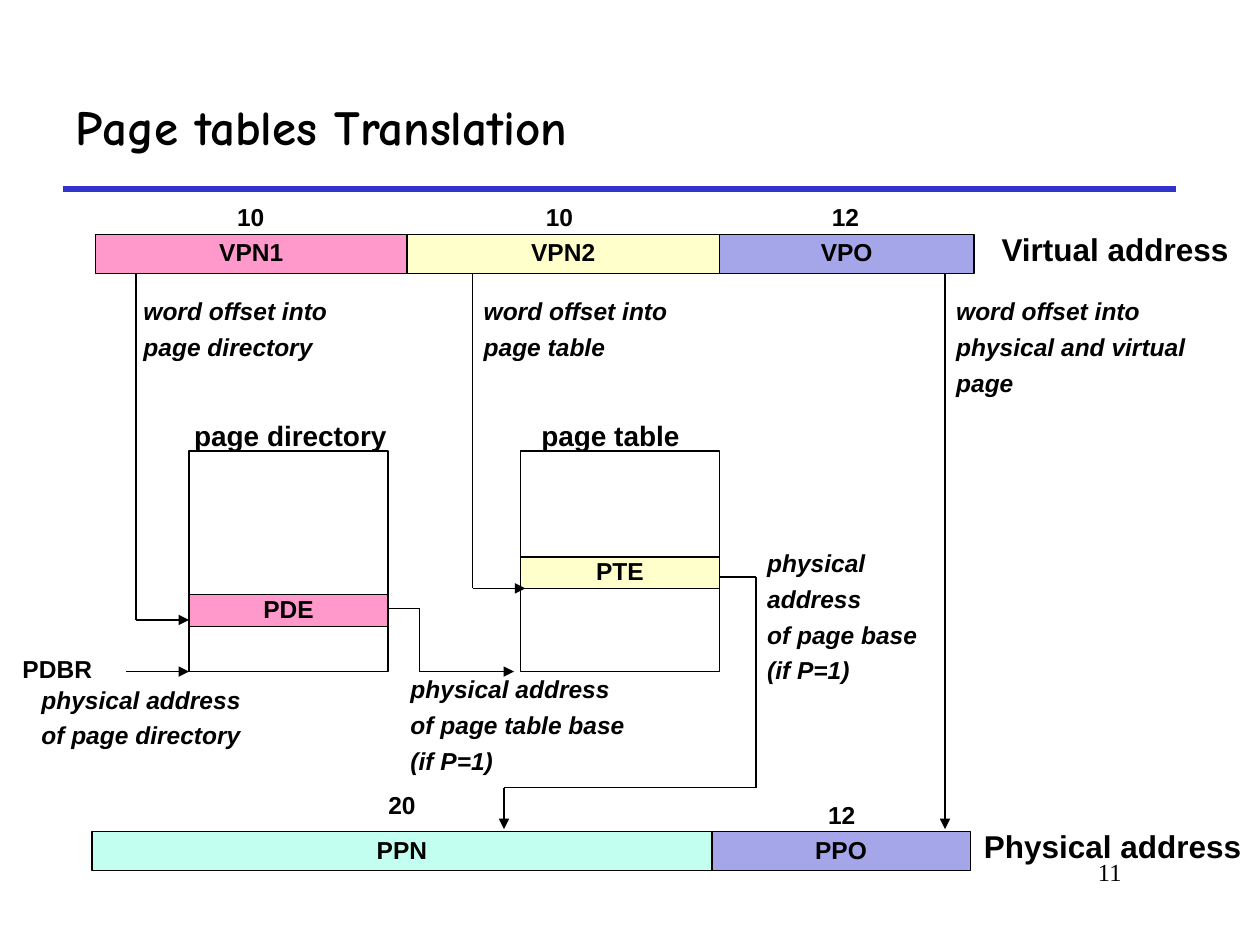
from pptx import Presentation
from pptx import util as u
from pptx.dml.color import RGBColor
from pptx.enum import shapes, text
from pptx.oxml.ns import qn
from lxml import etree

BLACK, WHITE, BLUE = "000000", "FFFFFF", "3333CC"
PINK, YELLOW, VIOLET, MINT = "FF99CC", "FFFFCC", "A5A5E9", "C2FFF0"

# Address bars: left, top, then (name, width, fill) of each field
BAR_HEIGHT = 0.31
BARS = [
    (0.76, 1.86, [("VPN1", 2.47, PINK), ("VPN2", 2.48, YELLOW), ("VPO", 2.02, VIOLET)]),
    (0.73, 6.6, [("PPN", 4.92, MINT), ("PPO", 2.05, VIOLET)]),
]

# Tables: left, entry name, entry top, entry fill
TABLE_TOP, TABLE_WIDTH, TABLE_HEIGHT, ENTRY_HEIGHT = 3.58, 1.58, 1.75, 0.25
TABLES = [(1.5, "PDE", 4.72, PINK), (4.13, "PTE", 4.42, YELLOW)]

# Text: left, top, width, lines
BIT_COUNTS = [
    (1.78, 1.58, "10"), (4.23, 1.58, "10"), (6.5, 1.58, "12"),
    (2.98, 6.25, "20"), (6.47, 6.33, "12"),
]
NOTES = [
    (1.04, 2.33, 1.71, ["word offset into", "page directory"]),
    (3.74, 2.33, 1.71, ["word offset into", "page table"]),
    (7.49, 2.33, 2.02, ["word offset into", "physical and virtual", "page"]),
    (0.23, 5.41, 1.78, ["physical address", "of page directory"]),
    (3.16, 5.33, 1.9, ["physical address", "of page table base", "(if P=1)"]),
    (5.99, 4.33, 1.39, ["physical", "address", "of page base", "(if P=1)"]),
]
TABLE_NAMES = [(1.44, 3.3, 1.73, "page directory"), (4.18, 3.3, 1.33, "page table")]
ADDRESS_NAMES = [(7.85, 1.81, 2, "Virtual address"), (7.71, 6.55, 2.24, "Physical address")]

# Each route is a chain of points ending in an arrowhead
ROUTES = [
    [(1.08, 2.17), (1.08, 4.92), (1.5, 4.92)],
    [(1, 5.33), (1.5, 5.33)],
    [(3.08, 4.83), (3.33, 4.83), (3.33, 5.33), (4.08, 5.33)],
    [(3.75, 2.17), (3.75, 4.67), (4.17, 4.67)],
    [(5.71, 4.58), (6, 4.58), (6, 6.25), (4, 6.25), (4, 6.58)],
    [(7.5, 2.17), (7.5, 6.58)],
]


def color(value):
    return RGBColor.from_string(value)


def write(box, lines, size=14, font="Arial", bold=True, italic=False, align="LEFT",
          anchor="TOP", wrap=False, spacing=0.9, before=5.2):
    frame = box.text_frame
    frame.word_wrap = wrap
    frame.vertical_anchor = getattr(text.MSO_ANCHOR, anchor)
    for index, line in enumerate(lines):
        para = frame.add_paragraph() if index else frame.paragraphs[0]
        para.alignment = getattr(text.PP_ALIGN, align)
        para.line_spacing = spacing
        para.space_before = u.Pt(before)
        span = para.add_run()
        span.text = line
        span.font.size = u.Pt(size)
        span.font.name = font
        span.font.bold = bold
        span.font.italic = italic
        span.font.color.rgb = color(BLACK)


def add_text(page, left, top, width, height, lines, **style):
    box = page.shapes.add_textbox(*map(u.Inches, (left, top, width, height)))
    write(box, lines, **style)
    return box


def add_label(page, left, top, width, lines, size=14, **style):
    """Add a text box whose height follows its lines."""
    height = 0.1 + size * 0.015 + 0.28 * (len(lines) - 1)
    box = add_text(page, left, top, width, height, lines, size=size, **style)
    box.text_frame.auto_size = text.MSO_AUTO_SIZE.SHAPE_TO_FIT_TEXT


def add_cell(page, left, top, width, height, fill, name=None):
    cell = page.shapes.add_shape(shapes.MSO_SHAPE.RECTANGLE,
                                 *map(u.Inches, (left, top, width, height)))
    cell.shadow.inherit = False
    cell.fill.solid()
    cell.fill.fore_color.rgb = color(fill)
    cell.line.color.rgb = color(BLACK)
    cell.line.width = u.Pt(0.75)
    if name:
        write(cell, [name], align="CENTER", anchor="MIDDLE")


def add_line(page, start, end, stroke=BLACK, width=0.75, arrow=False):
    line = page.shapes.add_connector(shapes.MSO_CONNECTOR.STRAIGHT,
                                     *map(u.Inches, (*start, *end)))
    line.line.color.rgb = color(stroke)
    line.line.width = u.Pt(width)
    if arrow:
        etree.SubElement(line.line._get_or_add_ln(), qn("a:tailEnd"), type="triangle")
    etree.SubElement(line._element.spPr, qn("a:effectLst"))


def main():
    deck = Presentation()
    deck.slide_width, deck.slide_height = u.Inches(10), u.Inches(7.5)
    page = deck.slides.add_slide(deck.slide_layouts[6])

    add_line(page, (0.5, 1.5), (9.33, 1.5), stroke=BLUE, width=3)
    add_text(page, 0.5, 0.5, 8.83, 1, ["Page tables Translation"], size=28,
             font="Comic Neue", anchor="MIDDLE", wrap=True, spacing=1.0, before=0)
    add_text(page, 7.58, 6.75, 1.42, 0.5, ["11"], font="Times New Roman", bold=False,
             align="RIGHT", wrap=True, spacing=1.0, before=0)

    for left, top, fields in BARS:
        for name, width, fill in fields:
            add_cell(page, left, top, width, BAR_HEIGHT, fill, name)
            left += width
    for left, entry, entry_top, fill in TABLES:
        add_cell(page, left, TABLE_TOP, TABLE_WIDTH, TABLE_HEIGHT, WHITE)
        add_cell(page, left, entry_top, TABLE_WIDTH, ENTRY_HEIGHT, fill, entry)

    for route in ROUTES:
        for start, end in zip(route, route[1:]):
            add_line(page, start, end, arrow=end == route[-1])

    add_label(page, 0.08, 5.17, 0.75, ["PDBR"])
    for left, top, count in BIT_COUNTS:
        add_label(page, left, top, 0.42, [count], align="CENTER")
    for left, top, width, lines in NOTES:
        add_label(page, left, top, width, lines, italic=True)
    for left, top, width, name in TABLE_NAMES:
        add_label(page, left, top, width, [name], size=16, align="CENTER", before=6)
    for left, top, width, name in ADDRESS_NAMES:
        add_label(page, left, top, width, [name], size=18, align="CENTER", before=6.8)

    deck.save("out.pptx")


if __name__ == "__main__":
    main()
